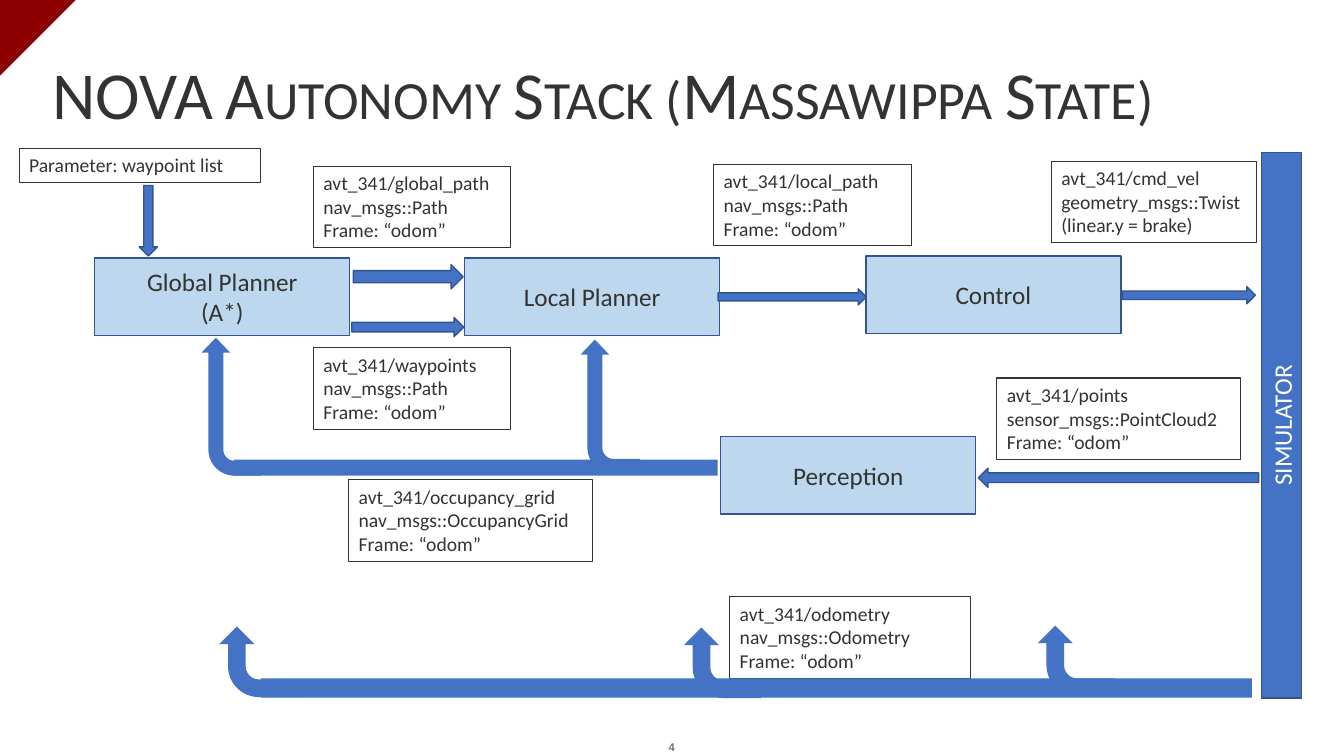
from pptx import Presentation
from pptx.dml.color import RGBColor
from pptx.enum.shapes import MSO_SHAPE
from pptx.enum.text import MSO_ANCHOR, MSO_AUTO_SIZE, PP_ALIGN
from pptx.util import Pt

RECT, DOWN = MSO_SHAPE.RECTANGLE, MSO_SHAPE.DOWN_ARROW
BENT, WEDGE = MSO_SHAPE.BENT_ARROW, MSO_SHAPE.RIGHT_TRIANGLE
LEFT, CENTER = PP_ALIGN.LEFT, PP_ALIGN.CENTER
TOP, MIDDLE = MSO_ANCHOR.TOP, MSO_ANCHOR.MIDDLE
FIT, FIXED = MSO_AUTO_SIZE.SHAPE_TO_FIT_TEXT, MSO_AUTO_SIZE.NONE

BLUE = RGBColor(0x44, 0x72, 0xC4)
NAVY = RGBColor(0x32, 0x54, 0x91)
PALE = RGBColor(0xBD, 0xD7, 0xEE)
RED = RGBColor(0x8D, 0x00, 0x01)
INK = RGBColor(0x32, 0x34, 0x31)
GRAY = RGBColor(0x76, 0x71, 0x71)
WHITE = RGBColor(0xFF, 0xFF, 0xFF)

# Content: all boxes are left, top, width, height as seen on the slide
TITLE = "NOVA Autonomy Stack (Massawippa State)"
NUMBER = "4"
ODOM = "Frame: “odom”"
NODE_W, NODE_H = 182.2, 55.4
LABEL_H = 58.3

# Text, left, top
NODES = [
    (["Global Planner", "(A*)"], 67.7, 184.3),
    (["Local Planner"], 331.9, 184.3),
    (["Control"], 618.5, 182.9),
    (["Perception"], 514.8, 311.8),
]
# Text, left, top, width
LABELS = [
    (["avt_341/odometry", "nav_msgs::Odometry", ODOM], 521.3, 426.2, 172.1),
    (["avt_341/waypoints", "nav_msgs::Path", ODOM], 223.9, 248.4, 141.1),
    (["avt_341/global_path", "nav_msgs::Path", ODOM], 223.9, 118.8, 141.1),
    (["avt_341/local_path", "nav_msgs::Path", ODOM], 509.8, 117.4, 141.1),
    (["avt_341/cmd_vel", "geometry_msgs::Twist", "(linear.y = brake)"],
     751, 115.2, 146.2),
    (["avt_341/points", "sensor_msgs::PointCloud2", ODOM], 712.1, 270, 174.2),
    (["avt_341/occupancy_grid", "nav_msgs::OccupancyGrid", ODOM],
     249.1, 342.7, 174.2),
]
# Box, turn
ARROWS = [
    ((99.4, 132.5, 13, 50.4), 0),
    ((252.4, 189, 78.5, 17.3), 270),
    ((251.3, 226.8, 79.9, 13.7), 270),
    ((513, 206.3, 105.8, 11.5), 270),
    ((801.7, 204.8, 95, 12.2), 270),
    ((698.8, 334.4, 200.2, 13.7), 90),
]
SLIM = (0.25, 0.24, 0.25, 0.438)
# Box, adjustments
BENDS = [
    ((488.5, 448.2, 55.4, 50.4), ()),
    ((156.6, 447.5, 55.4, 50.4), ()),
    ((741.2, 446.8, 55.4, 50.4), ()),
    ((144, 241.2, 42.5, 98.6), SLIM),
    ((414.7, 242.6, 42.5, 95.8), SLIM),
]
BARS = [(186.5, 484.6, 707.8, 13.7), (167, 328.3, 345.6, 11.5)]


def write(shape, lines, size=18, color=INK, face="Calibri", bold=False,
          align=CENTER, anchor=MIDDLE, fit=FIXED, wrap=True, small=False):
    frame = shape.text_frame
    frame.word_wrap = wrap
    frame.auto_size = fit
    frame.vertical_anchor = anchor
    for i, line in enumerate(lines):
        para = frame.add_paragraph() if i else frame.paragraphs[0]
        para.alignment = align
        run = para.add_run()
        run.text = line
        font = run.font
        font.size, font.name, font.bold = Pt(size), face, bold
        font.color.rgb = color
        if small:
            run._r.get_or_add_rPr().set("cap", "small")


def draw(slide, kind, box, fill=None, edge=None, width=1, turn=0):
    x, y, w, h = box
    if turn % 180:
        # A quarter turn swaps the sides about the same centre
        x, y, w, h = x + (w - h) / 2, y + (h - w) / 2, h, w
    shape = slide.shapes.add_shape(kind, Pt(x), Pt(y), Pt(w), Pt(h))
    shape.rotation = turn
    shape.shadow.inherit = False
    if fill is None:
        shape.fill.background()
    else:
        shape.fill.solid()
        shape.fill.fore_color.rgb = fill
    if edge is None:
        shape.line.fill.background()
    else:
        shape.line.color.rgb = edge
        shape.line.width = Pt(width)
    return shape


def label(slide, lines, box):
    shape = draw(slide, RECT, box, edge=INK, width=0.75)
    write(shape, lines, size=14, align=LEFT, anchor=TOP, fit=FIT)


def main():
    deck = Presentation()
    deck.slide_width, deck.slide_height = Pt(960), Pt(540)
    slide = deck.slides.add_slide(deck.slide_layouts[5])

    # Corner, title and slide number
    draw(slide, WEDGE, (0, 0, 54, 54), fill=RED, turn=90)
    title = slide.shapes.title
    title.left, title.top = Pt(30.2), Pt(28.8)
    title.width, title.height = Pt(900), Pt(81.4)
    write(title, [TITLE], size=48, align=LEFT, small=True)
    title.text_frame.paragraphs[0].line_spacing = 0.9
    page = slide.shapes.add_textbox(Pt(460), Pt(528.5), Pt(39.6), Pt(10.8))
    write(page, [NUMBER], size=8, color=GRAY, face="Arial", bold=True)

    # Simulator and processing nodes
    tower = draw(slide, RECT, (901.1, 109.1, 28.8, 389.5), BLUE, NAVY, turn=270)
    write(tower, ["SIMULATOR"], color=WHITE)
    for lines, x, y in NODES:
        node = draw(slide, RECT, (x, y, NODE_W, NODE_H), PALE, NAVY)
        write(node, lines)

    # Message labels
    label(slide, ["Parameter: waypoint list"], (13.7, 105.8, 172.1, 24.5))
    for lines, x, y, w in LABELS:
        label(slide, lines, (x, y, w, LABEL_H))

    # Straight arrows, bent arrows and the bars that feed them
    for box, turn in ARROWS:
        draw(slide, DOWN, box, BLUE, NAVY, turn=turn)
    for box, bend in BENDS:
        arrow = draw(slide, BENT, box, BLUE, turn=270)
        for i, value in enumerate(bend):
            arrow.adjustments[i] = value
    for box in BARS:
        draw(slide, RECT, box, BLUE)

    deck.save("out.pptx")


if __name__ == "__main__":
    main()
